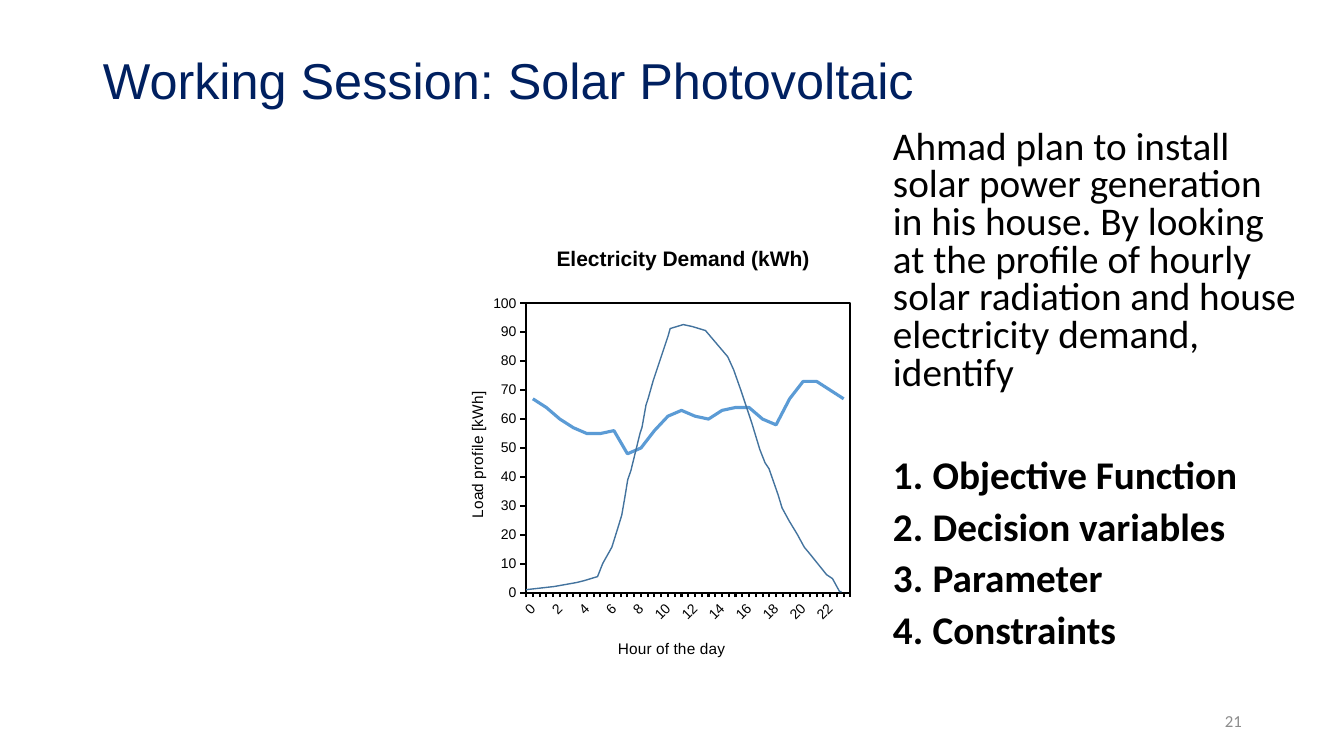
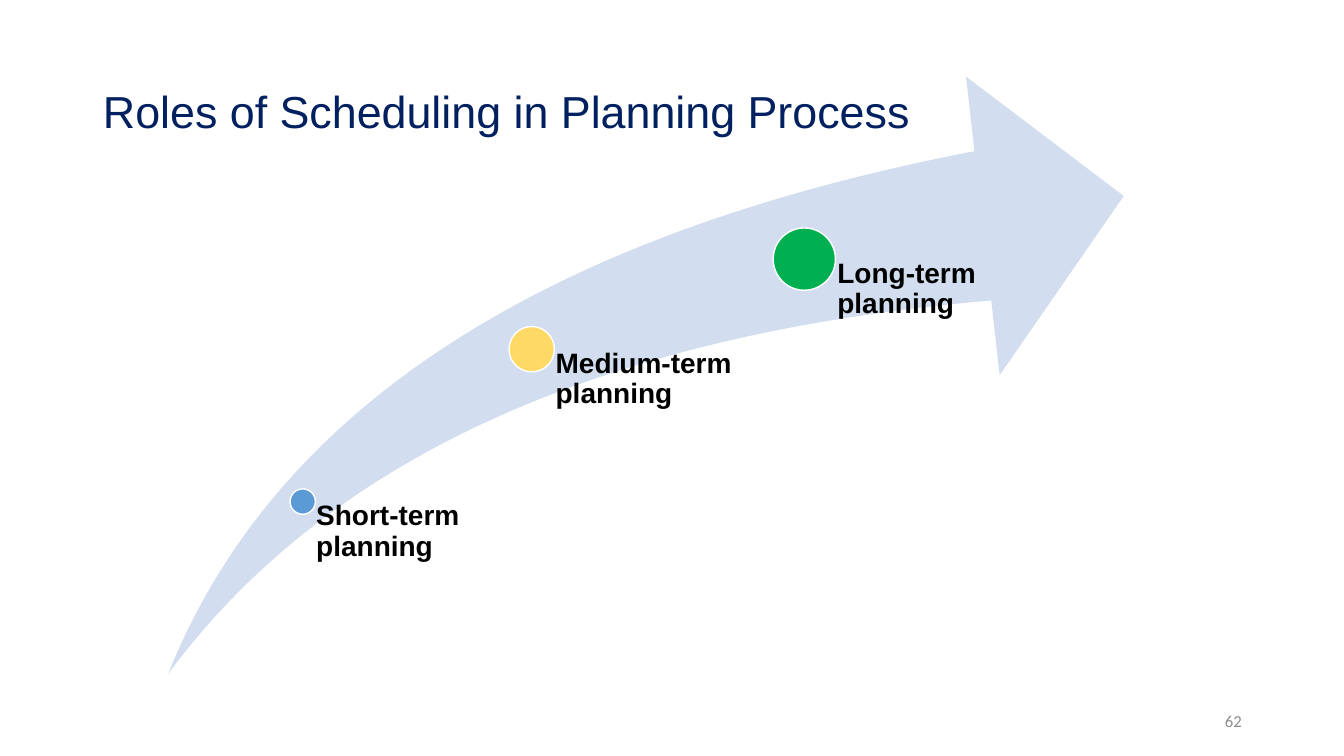
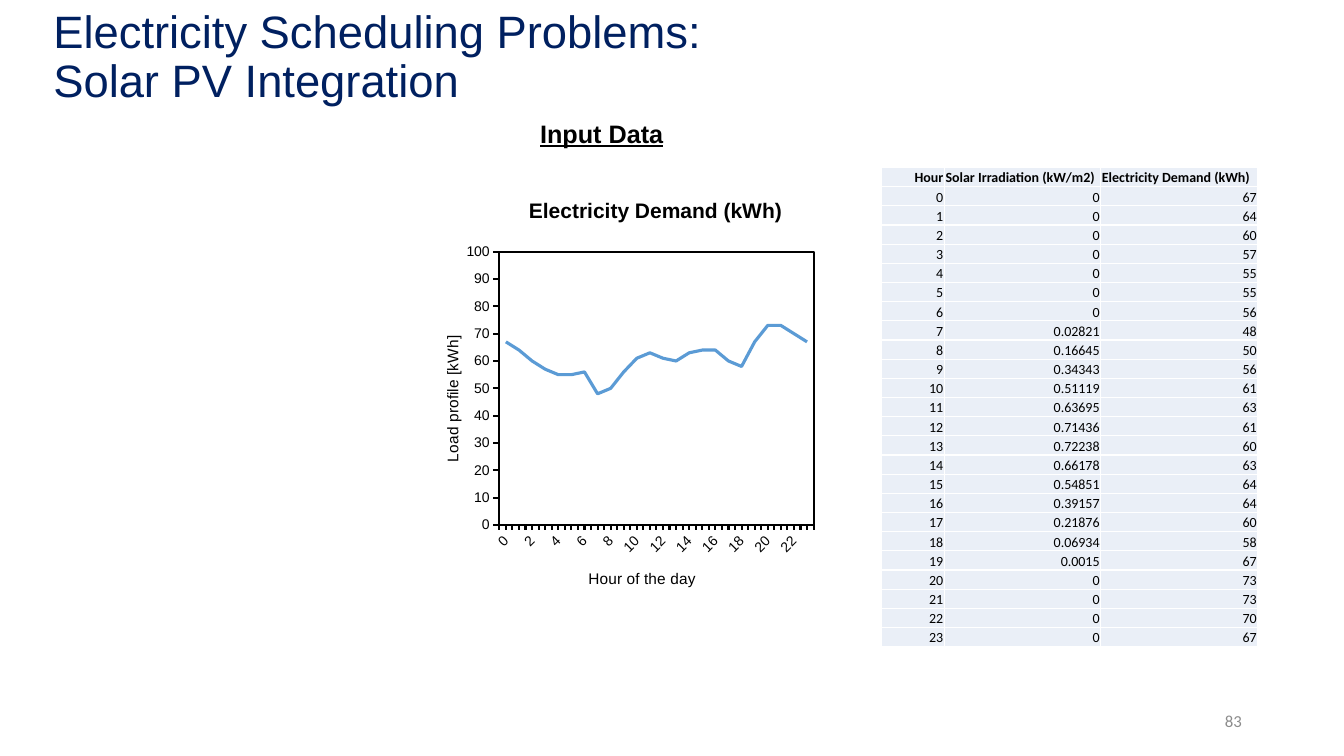
from pptx import Presentation
from pptx import util as u
from pptx.chart.data import CategoryChartData
from pptx.dml.color import RGBColor
from pptx.enum import chart as charts, shapes, text
from pptx.oxml import parse_xml
from pptx.oxml.ns import nsdecls, qn

Cm, Pt = u.Cm, u.Pt
COLORS = {
    "title": "002060", "text": "000000", "number": "8C8C8C", "white": "FFFFFF",
    "arrow": "D2DEEF", "blue": "5B9BD5", "yellow": "FFD966", "green": "00B050",
    "curve": "43739E", "cell": "EAEFF7",
}
RGB = {name: RGBColor.from_string(value) for name, value in COLORS.items()}
DEMAND = [67, 64, 60, 57, 55, 55, 56, 48, 50, 56, 61, 63,
          61, 60, 63, 64, 64, 60, 58, 67, 73, 73, 70, 67]
IRRADIATION = [0] * 7 + [0.02821, 0.16645, 0.34343, 0.51119, 0.63695, 0.71436, 0.72238,
                         0.66178, 0.54851, 0.39157, 0.21876, 0.06934, 0.0015] + [0] * 4


def add_run(paragraph, words, size, color="text", bold=False, font="Arial"):
    run = paragraph.add_run()
    run.text = words
    run.font.size, run.font.bold, run.font.name = Pt(size), bold, font
    run.font.color.rgb = RGB[color]
    return run


def place_in_chart(element, index, **fractions):
    """Fix a chart part at fractions of the chart area."""
    for layout in element.findall(qn("c:layout")):
        element.remove(layout)
    target = '<c:layoutTarget val="inner"/>' if "w" in fractions else ""
    modes = "".join(f'<c:{key}Mode val="edge"/>' for key in ("x", "y"))
    values = "".join(f'<c:{key} val="{value}"/>' for key, value in fractions.items())
    element.insert(index, parse_xml(
        f'<c:layout {nsdecls("c")}><c:manualLayout>{target}{modes}{values}'
        '</c:manualLayout></c:layout>'))


presentation = Presentation()
presentation.slide_width, presentation.slide_height = Cm(33.87), Cm(19.05)

# Slides with their titles and page numbers
slides = []
for layout, lines, size, box, number in [
    (1, ["Working Session: Solar Photovoltaic"], 36, (2.34, 0.25, 29.21, 3.68), "21"),
    (5, ["Roles of Scheduling in Planning Process"], 32, (2.34, 1.02, 29.21, 3.68), "62"),
    (5, ["Electricity Scheduling Problems:", "Solar PV Integration"], 32.4,
     (1.09, 0.48, 29.21, 1.98), "83"),
]:
    slide = presentation.slides.add_slide(presentation.slide_layouts[layout])
    slides.append(slide)
    title = slide.shapes.title
    title.left, title.top, title.width, title.height = map(Cm, box)
    title.text_frame.auto_size = text.MSO_AUTO_SIZE.NONE
    title.text_frame.vertical_anchor = text.MSO_ANCHOR.MIDDLE
    paragraph = title.text_frame.paragraphs[0]
    paragraph.alignment, paragraph.line_spacing = text.PP_ALIGN.LEFT, 0.9
    for index, line in enumerate(lines):
        if index:
            paragraph.add_line_break()
        add_run(paragraph, line, size, "title")

    page_number = slide.shapes.add_textbox(Cm(23.93), Cm(17.65), Cm(7.62), Cm(1.02))
    page_number.text_frame.word_wrap = True
    page_number.text_frame.vertical_anchor = text.MSO_ANCHOR.MIDDLE
    paragraph = page_number.text_frame.paragraphs[0]
    paragraph.alignment = text.PP_ALIGN.RIGHT
    add_run(paragraph, number, 12, "number", font="Calibri")

session, roles, integration = slides

# Demand charts on the first and last slides
for slide, box in [(session, (10.57, 5.61, 11.2, 11.96)),
                   (integration, (9.98, 4.42, 10.85, 11.3))]:
    data = CategoryChartData()
    data.categories = [str(hour) for hour in range(24)]
    data.add_series("Series 1", DEMAND)
    chart = slide.shapes.add_chart(
        charts.XL_CHART_TYPE.LINE, *map(Cm, box), data).chart
    chart.has_legend = False
    chart.font.name, chart.font.size = "Arial", Pt(12)
    chart.font.color.rgb = RGB["text"]
    chart.plots[0].vary_by_categories = False
    series = chart.plots[0].series[0]
    series.smooth = False
    series.format.line.color.rgb, series.format.line.width = RGB["blue"], Pt(2.25)

    hours, load = chart.category_axis, chart.value_axis
    load.minimum_scale, load.maximum_scale, load.major_unit = 0, 100, 10
    load.has_major_gridlines = False
    load.major_tick_mark = hours.minor_tick_mark = charts.XL_TICK_MARK.OUTSIDE
    hours.major_tick_mark = charts.XL_TICK_MARK.NONE
    for axis in (hours, load):
        axis.tick_labels.font.size, axis.tick_labels.font.name = Pt(10), "Arial"
        axis.tick_labels.font.color.rgb = RGB["text"]
        axis.format.line.color.rgb, axis.format.line.width = RGB["text"], Pt(1.5)
    labels = hours._element.find(qn("c:txPr")).find(qn("a:bodyPr"))
    labels.set("rot", "-2700000")
    hours._element.find(qn("c:lblOffset")).addnext(
        parse_xml(f'<c:tickLblSkip {nsdecls("c")} val="2"/>'))

    for heading, words, size, bold, x, y, turn in [
        (chart.chart_title, "Electricity Demand (kWh)", 15, True, 0.3, 0.04, 0),
        (hours.axis_title, "Hour of the day", 11, False, 0.44, 0.87, 0),
        (load.axis_title, "Load profile [kWh]", 11, False, 0.1, 0.35, -5400000),
    ]:
        add_run(heading.text_frame.paragraphs[0], words, size, bold=bold)
        heading._element.find(".//" + qn("a:bodyPr")).set("rot", str(turn))
        place_in_chart(heading._element, 1, x=x, y=y)

    plot_area = chart._chartSpace.find(".//" + qn("c:plotArea"))
    place_in_chart(plot_area, 0, x=0.24, y=0.17, w=0.73, h=0.61)
    plot_area.append(parse_xml(
        f'<c:spPr {nsdecls("c", "a")}><a:noFill/><a:ln w="{Pt(1.5)}"><a:solidFill>'
        f'<a:srgbClr val="{COLORS["text"]}"/></a:solidFill></a:ln></c:spPr>'))

# Working session: the task and its numbered list
body = session.placeholders[1]
body.left, body.top, body.width, body.height = Cm(22.25), Cm(3.15), Cm(10.67), Cm(14.02)
body.text_frame.auto_size = text.MSO_AUTO_SIZE.NONE
task = ("Ahmad plan to install solar power generation in his house. By looking at the "
        "profile of hourly solar radiation and house electricity demand, identify")
items = ["Objective Function", "Decision variables", "Parameter", "Constraints"]
for index, words in enumerate([task] + items):
    paragraph = body.text_frame.paragraphs[0] if index == 0 else body.text_frame.add_paragraph()
    indent = Cm(1) if index else 0
    properties = paragraph._p.get_or_add_pPr()
    properties.set("marL", str(indent))
    properties.set("indent", str(-indent))
    bullet = 'buAutoNum type="arabicPeriod"' if index else "buNone"
    properties.append(parse_xml(f'<a:{bullet} {nsdecls("a")}/>'))
    paragraph.line_spacing = 0.8
    paragraph.space_before = Pt({0: 0, 1: 47}.get(index, 10))
    add_run(paragraph, words, 28, bold=index > 0, font="Calibri")

# Working session: solar radiation curve, in hundredths of a centimetre
radiation = [
    (1326, 1486), (1397, 1478), (1453, 1468), (1473, 1463), (1506, 1453), (1519, 1420),
    (1542, 1379), (1557, 1331), (1567, 1298), (1575, 1252), (1582, 1209), (1590, 1186),
    (1613, 1092), (1618, 1077), (1628, 1021), (1633, 1006), (1646, 960), (1679, 861),
    (1684, 846), (1689, 828), (1722, 818), (1745, 823), (1778, 833), (1806, 866),
    (1834, 899), (1849, 932), (1867, 983), (1895, 1067), (1915, 1133), (1928, 1166),
    (1938, 1181), (1961, 1247), (1971, 1280), (1989, 1313), (2009, 1346), (2027, 1379),
    (2042, 1397), (2083, 1448), (2098, 1458), (2116, 1491), (2121, 1491),
]
builder = session.shapes.build_freeform(*radiation[0], scale=Cm(0.01))
builder.add_line_segments(radiation[1:], close=False)
curve = builder.convert_to_shape()
curve.shadow.inherit = False
curve.fill.background()
curve.line.color.rgb, curve.line.width = RGB["curve"], Pt(1)

# Roles of scheduling: rising arrow with three horizons
arrow = roles.shapes.add_shape(
    shapes.MSO_SHAPE.SWOOSH_ARROW, Cm(4.24), Cm(1.93), Cm(24.08), Cm(15.05))
arrow.adjustments[0] = arrow.adjustments[1] = 0.25
arrow.shadow.inherit = False
arrow.fill.solid()
arrow.fill.fore_color.rgb = RGB["arrow"]
arrow.line.fill.background()
arrow_bottom = 16.98
for words, color, x, y, diameter in [
    ("Short-term planning", "blue", 7.63, 12.64, 0.64),
    ("Medium-term planning", "yellow", 13.4, 8.8, 1.14),
    ("Long-term planning", "green", 20.27, 6.53, 1.57),
]:
    dot = roles.shapes.add_shape(
        shapes.MSO_SHAPE.OVAL, Cm(x - diameter / 2), Cm(y - diameter / 2),
        Cm(diameter), Cm(diameter))
    dot.shadow.inherit = False
    dot.fill.solid()
    dot.fill.fore_color.rgb = RGB[color]
    dot.line.color.rgb, dot.line.width = RGB["white"], Pt(1)

    label = roles.shapes.add_textbox(Cm(x), Cm(y), Cm(5.7), Cm(arrow_bottom - y))
    frame = label.text_frame
    frame.word_wrap = True
    frame.margin_left = Cm(diameter * 0.53)
    frame.margin_top = frame.margin_right = frame.margin_bottom = 0
    frame.paragraphs[0].line_spacing = 0.9
    add_run(frame.paragraphs[0], words, 20, bold=True)

# Integration: hourly input table
rows = [("Hour", "Solar Irradiation (kW/m2)", "Electricity Demand (kWh)")]
rows += zip(range(24), IRRADIATION, DEMAND)
table = integration.shapes.add_table(
    len(rows), 3, Cm(22.2), Cm(4.22), Cm(9.5), Cm(12.09)).table
table.first_row = table.horz_banding = False
for column, width in zip(table.columns, (1.6, 3.94, 3.96)):
    column.width = Cm(width)
for row_index, row in enumerate(rows):
    for column_index, value in enumerate(row):
        cell = table.cell(row_index, column_index)
        cell.margin_left = cell.margin_right = cell.margin_top = Cm(0.03)
        cell.margin_bottom = 0
        cell.vertical_anchor = text.MSO_ANCHOR.BOTTOM
        cell.fill.solid()
        cell.fill.fore_color.rgb = RGB["cell"]
        for order, side in enumerate("LRTB"):
            cell._tc.tcPr.insert(order, parse_xml(
                f'<a:ln{side} {nsdecls("a")} w="{Pt(1)}"><a:solidFill>'
                f'<a:srgbClr val="{COLORS["white"]}"/></a:solidFill></a:ln{side}>'))
        paragraph = cell.text_frame.paragraphs[0]
        left = row_index == 0 and column_index > 0
        paragraph.alignment = text.PP_ALIGN.LEFT if left else text.PP_ALIGN.RIGHT
        add_run(paragraph, str(value), 10, bold=row_index == 0, font="Calibri")

# Integration: heading above the data
heading = integration.shapes.add_textbox(Cm(13.08), Cm(2.87), Cm(4.17), Cm(0.97))
frame = heading.text_frame
frame.word_wrap = True
frame.vertical_anchor = text.MSO_ANCHOR.MIDDLE
frame.margin_left = frame.margin_top = frame.margin_right = frame.margin_bottom = 0
frame.paragraphs[0].alignment = text.PP_ALIGN.CENTER
add_run(frame.paragraphs[0], "Input Data", 18, bold=True).font.underline = True

presentation.save("out.pptx")
